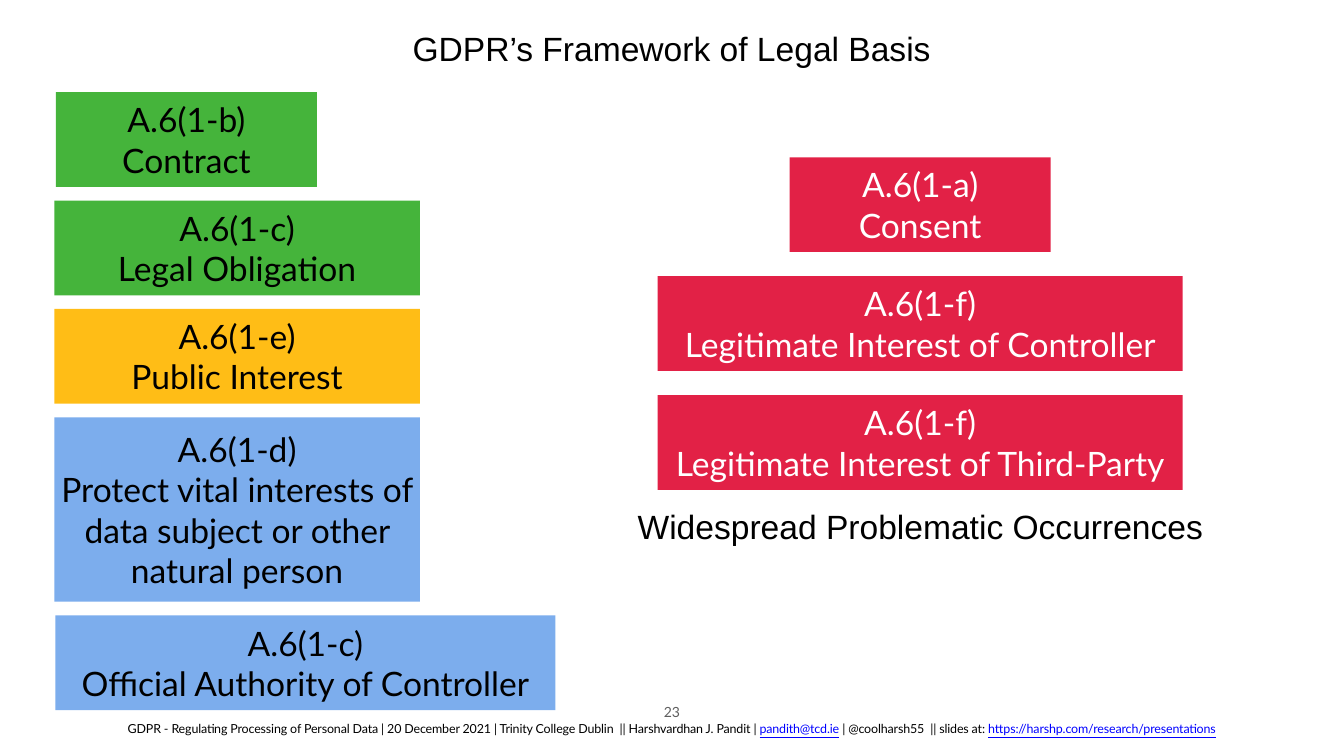
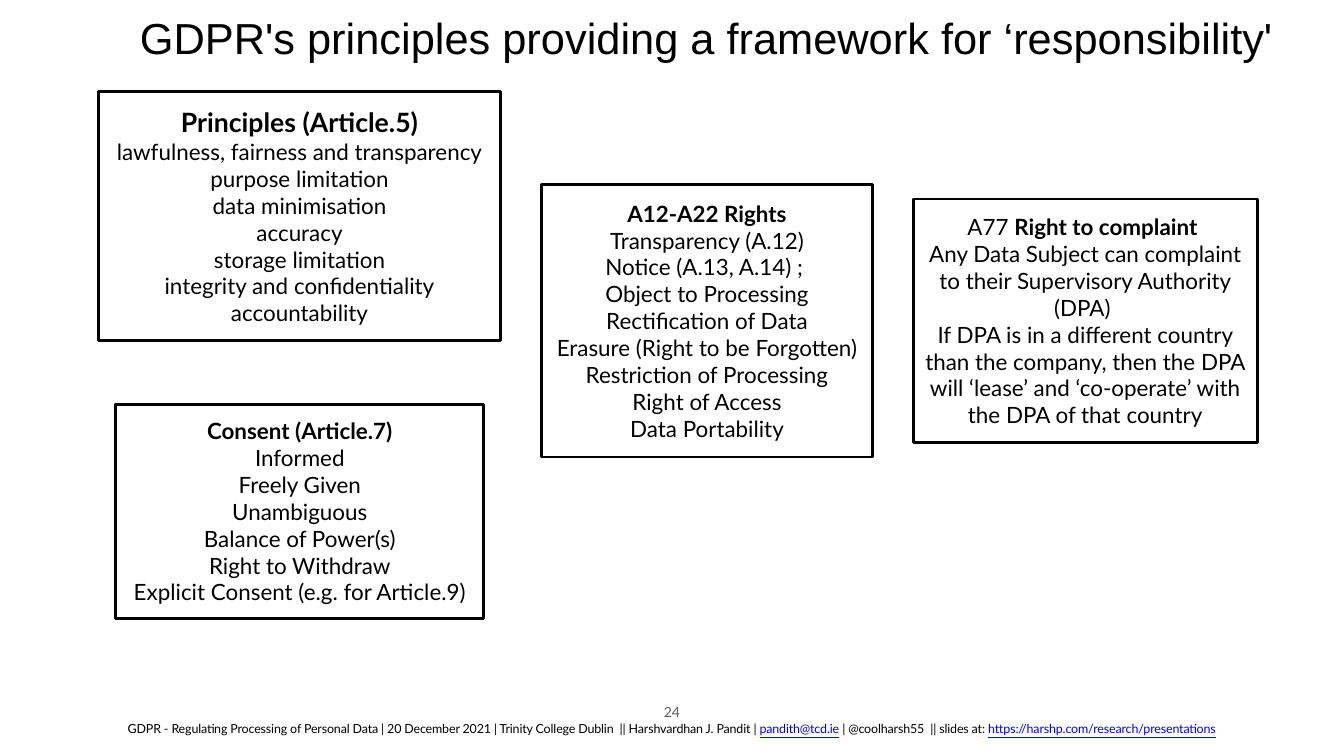
from pptx import Presentation
from pptx.dml.color import RGBColor
from pptx.enum import shapes, text
from pptx.util import Inches, Pt

BLACK, WHITE, GREY, BLUE = "000000", "FFFFFF", "5E5E5E", "0000FF"
RED, GREEN, AMBER, SKY = "E22146", "45B43B", "FFBD16", "7CADED"
MID, TOP, LOW = text.MSO_ANCHOR.MIDDLE, text.MSO_ANCHOR.TOP, text.MSO_ANCHOR.BOTTOM


def rgb(code):
    return RGBColor.from_string(code)


class Deck:
    body = "Lato"
    head = "Arial"
    inset = 0.06

    def __init__(self):
        self.file = Presentation()
        self.file.slide_width = Inches(26.67)
        self.file.slide_height = Inches(15)
        self.slide = None

    def page(self, number):
        self.slide = self.file.slides.add_slide(self.file.slide_layouts[6])
        self.footer()
        self.label(13.11, 13.89, 0.45, 0.47, str(number), 20, self.body, GREY, LOW)

    def frame(self, shape, anchor=MID, wrap=True, grow=True):
        frame = shape.text_frame
        frame.margin_left = frame.margin_right = Inches(self.inset)
        frame.margin_top = frame.margin_bottom = Inches(self.inset)
        frame.vertical_anchor = anchor
        frame.word_wrap = wrap
        size = text.MSO_AUTO_SIZE
        frame.auto_size = size.SHAPE_TO_FIT_TEXT if grow else size.NONE
        return frame

    def style(self, part, size, color=BLACK, font=None, bold=False):
        part.alignment = text.PP_ALIGN.CENTER
        for run in part.runs:
            run.font.name = font or self.body
            run.font.size = Pt(size)
            run.font.bold = bold
            run.font.color.rgb = rgb(color)

    def area(self, left, top, width, height):
        return [Inches(n) for n in (left, top, width, height)]

    def label(self, left, top, width, height, words, size, font, color=BLACK, anchor=MID):
        shape = self.slide.shapes.add_textbox(*self.area(left, top, width, height))
        frame = self.frame(shape, anchor, wrap=False)
        frame.text = words
        part = frame.paragraphs[0]
        self.style(part, size, color, font)
        if font == self.head:
            part.line_spacing = 0.9

    def footer(self):
        shape = self.slide.shapes.add_textbox(*self.area(1.33, 14.25, 24, 0.53))
        part = self.frame(shape, TOP, grow=False).paragraphs[0]
        pieces = [
            "GDPR - Regulating Processing of Personal Data | 20 December 2021 | "
            "Trinity College Dublin  || Harshvardhan J. Pandit | ",
            "pandith@tcd.ie",
            " | @coolharsh55  || slides at: ",
            "https://harshp.com/research/presentations",
        ]
        for piece in pieces:
            part.add_run().text = piece
        self.style(part, 17.8)
        for run in part.runs:
            run._r.get_or_add_rPr().set("spc", "-20")
        for run in part.runs[1::2]:
            run.font.color.rgb = rgb(BLUE)
            run.font.underline = True

    def rect(self, left, top, width, height, fill=None):
        shape = self.slide.shapes.add_shape(
            shapes.MSO_SHAPE.RECTANGLE, *self.area(left, top, width, height))
        shape.shadow.inherit = False
        if fill:
            shape.fill.solid()
            shape.fill.fore_color.rgb = rgb(fill)
            shape.line.fill.background()
        else:
            shape.fill.background()
            shape.line.color.rgb = rgb(BLACK)
            shape.line.width = Pt(4)
        return shape

    def stack(self, top, gap, items, color):
        for left, width, height, fill, words in items:
            frame = self.frame(self.rect(left, top, width, height, fill))
            frame.text = words
            self.style(frame.paragraphs[0], 48, color)
            top += height + gap

    def panel(self, left, top, width, height, title, parts, size=32):
        frame = self.frame(self.rect(left, top, width, height), wrap=False)
        frame.text = "\n".join([title] + parts)
        first, *rest = frame.paragraphs
        self.style(first, size, bold=True)
        for part in rest:
            self.style(part, 32)

    def notice(self, left, top, width, height, lines, strong):
        frame = self.frame(self.rect(left, top, width, height))
        frame.text = "\v".join(lines)
        part = frame.paragraphs[0]
        lead = part.runs[0]
        lead.text = lead.text.replace(strong, "")
        bold = part.add_run()
        bold.text = strong
        lead._r.addnext(bold._r)
        self.style(part, 32)
        bold.font.bold = True


def basis(deck):
    deck.page(23)
    deck.stack(1.83, 0.27, [
        (1.11, 5.18, 1.88, GREEN, "A.6(1-b)\vContract"),
        (1.08, 7.25, 1.88, GREEN, "A.6(1-c)\vLegal Obligation"),
        (1.08, 7.25, 1.88, AMBER, "A.6(1-e)\vPublic Interest"),
        (1.08, 7.25, 3.66, SKY,
         "A.6(1-d)\vProtect vital interests of data subject or other natural person"),
        (1.1, 9.92, 1.88, SKY, "A.6(1-c)\vOfficial Authority of Controller"),
    ], BLACK)
    deck.stack(3.12, 0.48, [
        (15.67, 5.18, 1.88, RED, "A.6(1-a)\vConsent"),
        (13.05, 10.42, 1.88, RED, "A.6(1-f)\vLegitimate Interest of Controller"),
        (13.05, 10.42, 1.88, RED, "A.6(1-f)\vLegitimate Interest of Third-Party"),
    ], WHITE)
    deck.label(12.02, 9.93, 12.49, 1.1, "Widespread Problematic Occurrences", 48, deck.head)
    deck.label(7.79, 0.46, 11.08, 1.1, "GDPR’s Framework of Legal Basis", 48, deck.head)


def duties(deck):
    deck.page(24)
    deck.label(2.32, -0.23, 23.41, 2.07,
               "GDPR's principles providing a framework for ‘responsibility'", 62, deck.head)
    deck.panel(1.96, 1.82, 7.97, 4.94, "Principles (Article.5)", [
        "lawfulness, fairness and transparency\vpurpose limitation\vdata minimisation\v"
        "accuracy\vstorage limitation\vintegrity and confidentiality\vaccountability",
    ], 38)
    deck.notice(18.12, 3.95, 6.83, 4.83, [
        "A77 Right to complaint ",
        "Any Data Subject can complaint to their Supervisory Authority (DPA) ",
        "If DPA is in a different country than the company, then the DPA "
        "will ‘lease’ and ‘co-operate’ with the DPA of that country",
    ], "Right to complaint ")
    deck.panel(2.3, 8.02, 7.3, 4.25, "Consent (Article.7)", [
        "Informed\vFreely Given",
        "Unambiguous\vBalance of Power(s)\vRight to Withdraw",
        "Explicit Consent (e.g. for Article.9)",
    ])
    deck.panel(10.74, 3.66, 6.58, 5.41, "A12-A22 Rights", [
        "Transparency (A.12)",
        "Notice (A.13, A.14) ; ",
        "Object to Processing\vRectification of Data\v"
        "Erasure (Right to be Forgotten)\vRestriction of Processing",
        "Right of Access\vData Portability",
    ])


def main():
    deck = Deck()
    basis(deck)
    duties(deck)
    deck.file.save("out.pptx")


if __name__ == "__main__":
    main()
